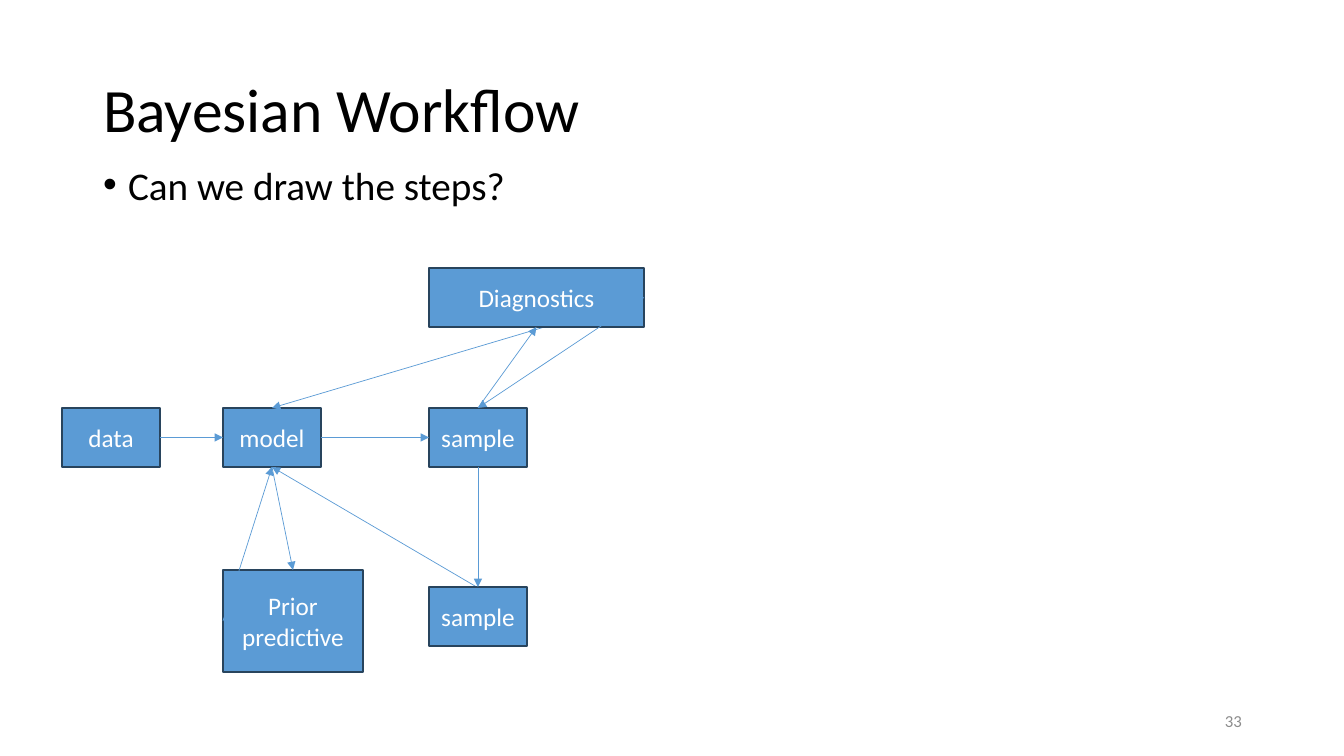
from lxml.etree import SubElement
from pptx import Presentation
from pptx.dml.color import RGBColor
from pptx.enum.shapes import MSO_CONNECTOR, MSO_SHAPE
from pptx.enum.text import MSO_ANCHOR, MSO_AUTO_SIZE, PP_ALIGN
from pptx.oxml.ns import qn
from pptx.util import Pt

TITLE = "Bayesian Workflow"
POINT = "Can we draw the steps?"
NUMBER = "33"
SIZE = (98, 59)
COLS = (62, 223, 429)
ROWS = (268, 408, 570, 587)
STEPS = {
    "data": ("data", 0, 1, SIZE),
    "model": ("model", 1, 1, SIZE),
    "prior": ("Prior predictive", 1, 2, (140, 102)),
    "sample": ("sample", 2, 1, SIZE),
    "check": ("Diagnostics", 2, 0, (215, 59)),
    "final": ("sample", 2, 3, SIZE),
}
TOP, LEFT, BOTTOM, RIGHT = range(4)
LINKS = [
    ("data", RIGHT, "model", LEFT, False),
    ("model", BOTTOM, "prior", TOP, False),
    ("prior", LEFT, "model", BOTTOM, False),
    ("model", RIGHT, "sample", LEFT, False),
    ("check", RIGHT, "model", TOP, True),
    ("final", RIGHT, "model", BOTTOM, True),
    ("sample", TOP, "check", BOTTOM, False),
    ("check", RIGHT, "sample", TOP, False),
    ("sample", BOTTOM, "final", TOP, False),
]
FILL, EDGE = "5B9BD5", "28445D"
SCALE = 914400 / 100.8


def px(n):
    return round(n * SCALE)


def color(text):
    return RGBColor.from_string(text)


def place(shape, *box):
    shape.left, shape.top, shape.width, shape.height = map(px, box)


def write(shape, text, size, ink, align, anchor):
    frame = shape.text_frame
    frame.word_wrap = True
    frame.auto_size = MSO_AUTO_SIZE.NONE
    frame.vertical_anchor = anchor
    para = frame.paragraphs[0]
    para.alignment = align
    run = para.add_run()
    run.text = text
    run.font.size = Pt(size)
    run.font.name = "Calibri"
    run.font.color.rgb = color(ink)
    return para


def draw_box(slide, text, col, row, size):
    box = slide.shapes.add_shape(
        MSO_SHAPE.RECTANGLE, *map(px, (COLS[col], ROWS[row], *size)))
    box.shadow.inherit = False
    box.fill.solid()
    box.fill.fore_color.rgb = color(FILL)
    box.line.color.rgb = color(EDGE)
    box.line.width = Pt(1)
    write(box, text, 18, "FFFFFF", PP_ALIGN.CENTER, MSO_ANCHOR.MIDDLE)
    return box


def draw_link(slide, start, out, end, into, behind):
    link = slide.shapes.add_connector(MSO_CONNECTOR.STRAIGHT, 0, 0, 0, 0)
    link.begin_connect(start, out)
    link.end_connect(end, into)
    link.line.color.rgb = color(FILL)
    link.line.width = Pt(0.5)
    props = link._element.spPr
    SubElement(props.find(qn("a:ln")), qn("a:tailEnd"), type="triangle")
    SubElement(props, qn("a:effectLst"))
    if behind:
        start._element.addprevious(link._element)


def main():
    deck = Presentation()
    deck.slide_width, deck.slide_height = px(1344), px(756)
    slide = deck.slides.add_slide(deck.slide_layouts[1])

    title, body = slide.placeholders
    place(title, 93, 40, 1159, 146)
    head = write(title, TITLE, 44, "000000", PP_ALIGN.LEFT, MSO_ANCHOR.MIDDLE)
    head.line_spacing = 0.9

    place(body, 93, 165, 1159, 49)
    item = write(body, POINT, 28, "000000", PP_ALIGN.LEFT, MSO_ANCHOR.TOP)
    item.line_spacing = 0.8
    item.space_before = Pt(10)
    props = item._p.get_or_add_pPr()
    props.set("marL", str(px(25)))
    props.set("indent", str(px(-25)))
    SubElement(props, qn("a:buFont"), typeface="Arial")
    SubElement(props, qn("a:buChar"), char="•")

    page = slide.shapes.add_textbox(*map(px, (950, 701, 302, 40)))
    write(page, NUMBER, 12, "8C8C8C", PP_ALIGN.RIGHT, MSO_ANCHOR.MIDDLE)

    boxes = {key: draw_box(slide, *step) for key, step in STEPS.items()}
    for start, out, end, into, behind in LINKS:
        draw_link(slide, boxes[start], out, boxes[end], into, behind)

    deck.save("out.pptx")


if __name__ == "__main__":
    main()
